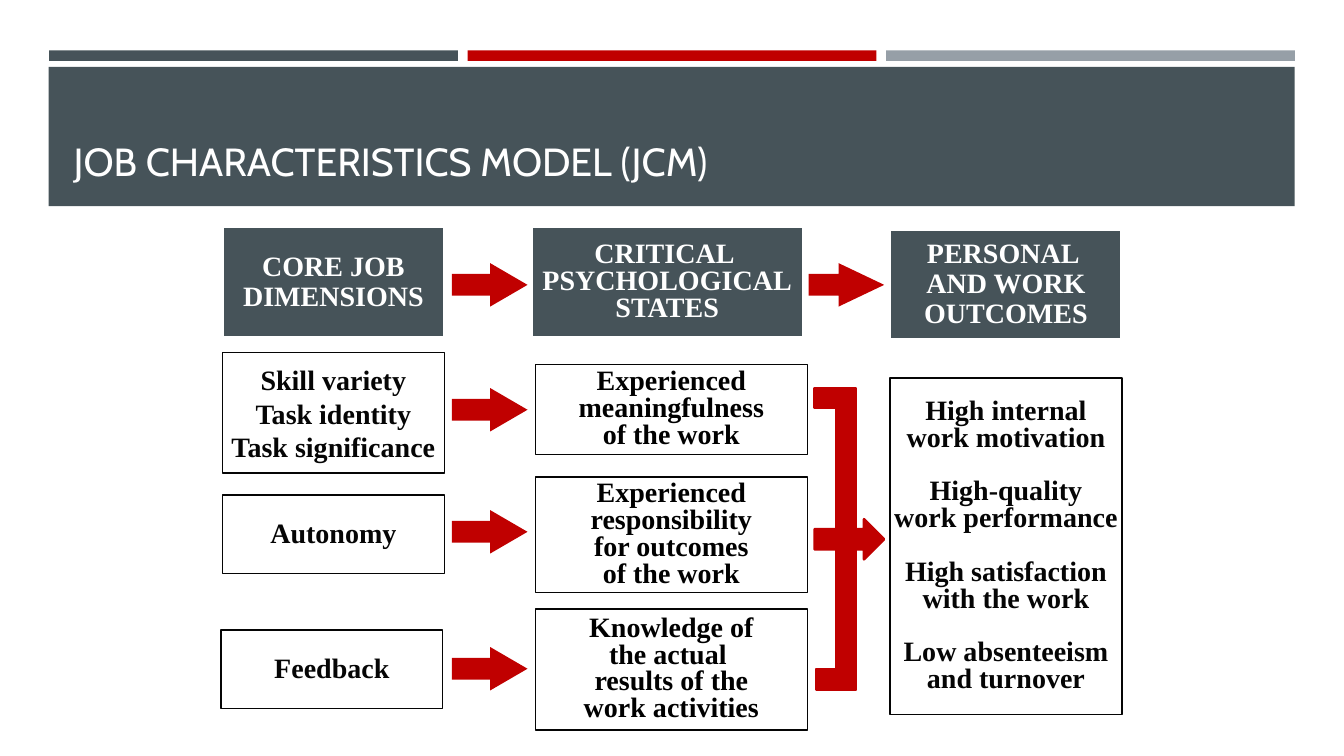
from pptx import Presentation
from pptx.dml.color import RGBColor
from pptx.enum.shapes import MSO_SHAPE
from pptx.enum.text import MSO_ANCHOR, MSO_AUTO_SIZE, PP_ALIGN
from pptx.util import Pt

RECTANGLE = MSO_SHAPE.RECTANGLE
RIGHT_ARROW = MSO_SHAPE.RIGHT_ARROW
MIDDLE, BOTTOM = MSO_ANCHOR.MIDDLE, MSO_ANCHOR.BOTTOM
CENTER, LEFT = PP_ALIGN.CENTER, PP_ALIGN.LEFT
NO_AUTOFIT = MSO_AUTO_SIZE.NONE

SLATE = RGBColor(0x46, 0x53, 0x59)
RED = RGBColor(0xC0, 0x00, 0x00)
GRAY = RGBColor(0x96, 0x9F, 0xA7)
WHITE = RGBColor(0xFF, 0xFF, 0xFF)
BLACK = RGBColor(0x00, 0x00, 0x00)
INK = RGBColor(0x05, 0x05, 0x05)


class Board:
    title_font, title_size = "Cabin", 28
    body_font, body_size = "Times New Roman", 20
    group_gap = 19

    def __init__(self, page):
        self.page = page

    def shape(self, kind, place, fill=None, line=None, width=1):
        shape = self.page.shapes.add_shape(kind, *map(Pt, place))
        shape.shadow.inherit = False
        if fill is None:
            shape.fill.background()
        else:
            shape.fill.solid()
            shape.fill.fore_color.rgb = fill
        if line is None:
            shape.line.fill.background()
        else:
            shape.line.color.rgb = line
            shape.line.width = Pt(width)
        return shape

    def span(self, para, text, font, size, color, bold=False):
        span = para.add_run()
        span.text = text
        span.font.name = font
        span.font.size = Pt(size)
        span.font.color.rgb = color
        span.font.bold = bold

    def title(self, text, place):
        title = self.page.shapes.title
        title.left, title.top, title.width, title.height = map(Pt, place)
        frame = title.text_frame
        frame.auto_size = NO_AUTOFIT
        frame.word_wrap = True
        frame.vertical_anchor = BOTTOM
        para = frame.paragraphs[0]
        para.alignment = LEFT
        para.line_spacing = 0.9
        self.span(para, text, self.title_font, self.title_size, WHITE)
        self.page.shapes[-1].element.addnext(title.element)

    def box(self, place, groups, color, spacing, fill=None, line=INK, width=1):
        box = self.shape(RECTANGLE, place, fill, line, width)
        frame = box.text_frame
        frame.word_wrap = False
        frame.vertical_anchor = MIDDLE
        para = None
        for group in groups:
            for index, text in enumerate(group):
                first = para is None
                para = frame.paragraphs[0] if first else frame.add_paragraph()
                para.alignment = CENTER
                para.line_spacing = spacing
                if index == 0 and not first:
                    para.space_before = Pt(self.group_gap)
                self.span(para, text, self.body_font, self.body_size, color, True)

    def arrow(self, left, top, head):
        arrow = self.shape(RIGHT_ARROW, (left, top, 54, 31), RED)
        arrow.adjustments[1] = head


deck = Presentation()
deck.slide_width, deck.slide_height = Pt(960), Pt(540)
board = Board(deck.slides.add_slide(deck.slide_layouts[5]))

for column, color in enumerate((SLATE, RED, GRAY)):
    board.shape(RECTANGLE, (35 + 299 * column, 36, 292, 7.5), color)
board.shape(RECTANGLE, (34.8, 47.8, 890, 99.4), SLATE)
board.title("JOB CHARACTERISTICS MODEL (JCM)", (45.4, 57.6, 868.3, 77.8))

headings = [
    ((159, 162, 158.4, 79), ["CORE JOB", "DIMENSIONS"], 0.9),
    ((379.4, 162, 194.4, 79), ["CRITICAL ", "PSYCHOLOGICAL", "STATES"], 0.8),
    ((635.8, 164, 165.6, 78.5), ["PERSONAL ", "AND WORK", "OUTCOMES"], 0.9),
]
for place, lines, spacing in headings:
    board.box(place, [lines], WHITE, spacing, SLATE, WHITE, 2)

dimensions = [
    (159, 252, 86, ["Skill variety", "Task identity", "Task significance"], 1.0),
    (159, 353.5, 56.2, ["Autonomy"], 0.9),
    (157.9, 450, 56.2, ["Feedback"], 0.9),
]
for left, top, height, lines, spacing in dimensions:
    board.box((left, top, 158.4, height), [lines], INK, spacing)

states = [
    (260.6, 64, ["Experienced", "meaningfulness", "of the work"]),
    (340.6, 82.8, ["Experienced", "responsibility", "for outcomes", "of the work"]),
    (435, 86.4, ["Knowledge of", "the actual ", "results of the", "work activities"]),
]
for top, height, lines in states:
    board.box((382.4, top, 194.4, height), [lines], BLACK, 0.8, WHITE)

outcomes = [
    ["High internal", "work motivation"],
    ["High-quality", "work performance"],
    ["High satisfaction", "with the work"],
    ["Low absenteeism", "and turnover"],
]
board.box((635.8, 270, 165.6, 240.5), outcomes, INK, 0.8)

for top in (188, 277.2, 364.4, 462.2):
    board.arrow(322.8, top, 0.86)
board.arrow(577.6, 188, 1.05)

bracket = [
    (RECTANGLE, (597, 277.2, 14.4, 215.2)),
    (RIGHT_ARROW, (581.8, 370.8, 49.7, 28.8)),
    (RECTANGLE, (581.8, 277.2, 28.8, 14.4)),
    (RECTANGLE, (582.8, 478, 28.8, 14.4)),
]
for kind, place in bracket:
    board.shape(kind, place, RED, RED, 1.75)

deck.save("out.pptx")
